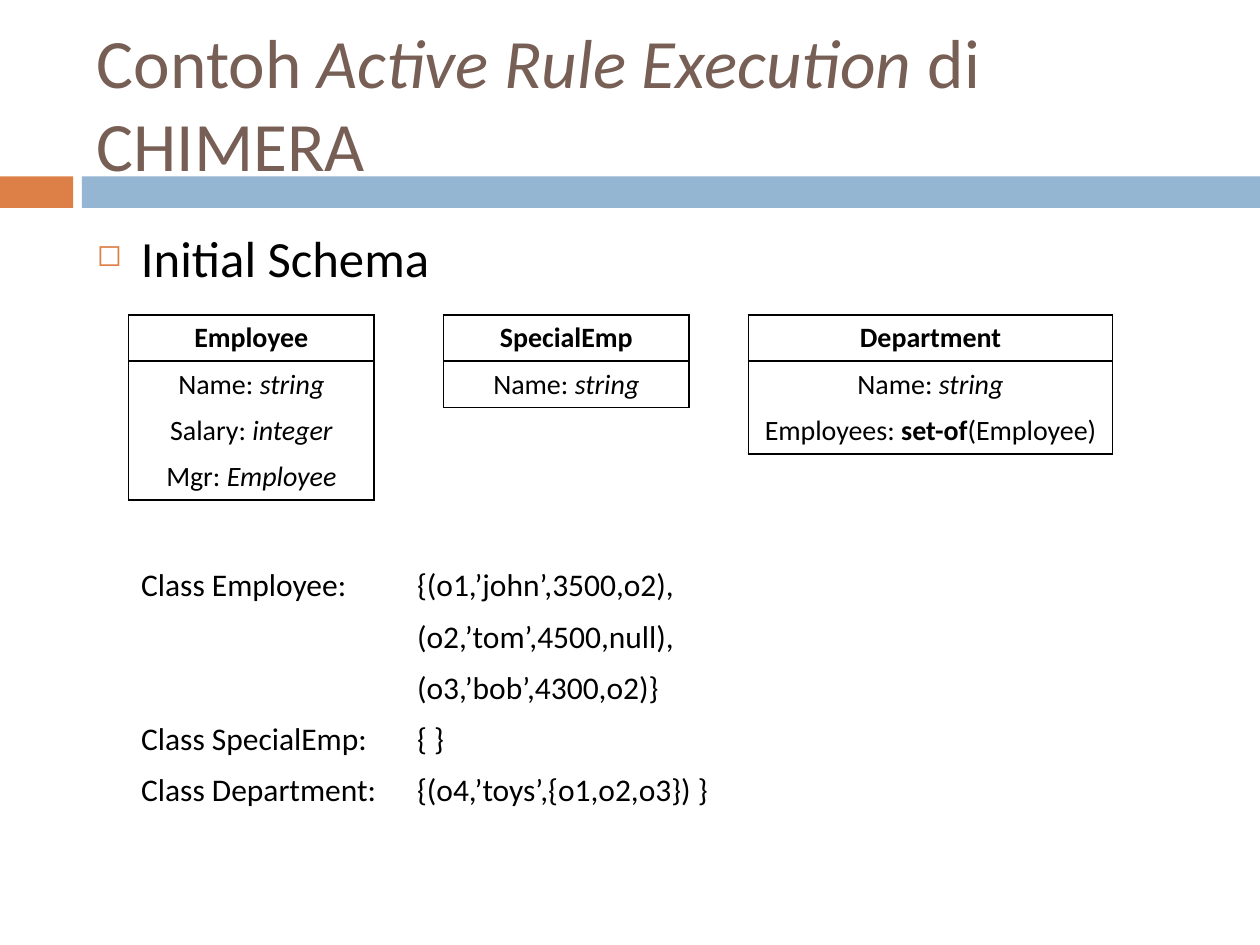
from lxml.etree import SubElement
from pptx import Presentation
from pptx.dml.color import RGBColor
from pptx.enum.shapes import MSO_SHAPE as Shape
from pptx.enum.text import MSO_ANCHOR as Anchor, PP_ALIGN as Align
from pptx.oxml import parse_xml
from pptx.oxml.ns import nsdecls, qn
from pptx.util import Inches, Pt

ORANGE, BLUE, BROWN, BLACK = "DD8047", "94B6D2", "775F55", "000000"


def color(hex_string):
    return RGBColor.from_string(hex_string)


class SlideBuilder:
    """Holds the style and the slide; positions are percentages of its size."""

    font = "Calibri"

    def __init__(self, deck):
        self.width, self.height = deck.slide_width, deck.slide_height
        self.shapes = deck.slides.add_slide(deck.slide_layouts[6]).shapes

    def area(self, left, top, width, height):
        return (int(self.width * left / 100), int(self.height * top / 100),
                int(self.width * width / 100), int(self.height * height / 100))

    def bar(self, area, fill):
        box = self.shapes.add_shape(Shape.RECTANGLE, *self.area(*area))
        box.shadow.inherit = False
        box.fill.solid()
        box.fill.fore_color.rgb = color(fill)
        box.line.fill.background()

    def add_runs(self, para, runs, size, ink=BLACK):
        """Add (text, style) runs, where style is "", "b" or "i"."""
        for text, style in runs:
            span = para.add_run()
            span.text = text
            span.font.name, span.font.size = self.font, Pt(size)
            span.font.bold, span.font.italic = style == "b", style == "i"
            span.font.color.rgb = color(ink)

    def text(self, area, runs, size, ink=BLACK, anchor=Anchor.TOP):
        frame = self.shapes.add_textbox(*self.area(*area)).text_frame
        frame.word_wrap = True
        frame.vertical_anchor = anchor
        para = frame.paragraphs[0]
        self.add_runs(para, runs, size, ink)
        return frame, para

    def bullet(self, para, symbol, ink, indent, percent):
        properties = para._p.get_or_add_pPr()
        properties.set("marL", str(indent))
        properties.set("indent", str(-indent))
        bullet_color = SubElement(properties, qn("a:buClr"))
        SubElement(bullet_color, qn("a:srgbClr"), val=ink)
        SubElement(properties, qn("a:buSzPct"), val=str(percent * 1000))
        SubElement(properties, qn("a:buChar"), char=symbol)

    def borders(self, cell, sides):
        """Draw the sides named in a string such as "LRTB"; clear the rest."""
        properties = cell._tc.get_or_add_tcPr()
        for index, side in enumerate("LRTB"):
            fill = (f'<a:solidFill><a:srgbClr val="{BLACK}"/></a:solidFill>'
                    if side in sides else "<a:noFill/>")
            properties.insert(index, parse_xml(
                f'<a:ln{side} {nsdecls("a")} w="{Pt(1)}">{fill}</a:ln{side}>'))

    def table(self, left, top, columns, row_height, rows, size,
              align=Align.LEFT, sides=lambda row: ""):
        """Each cell is a list of runs; sides(row) names the drawn borders."""
        area = self.area(left, top, sum(columns), row_height * len(rows))
        table = self.shapes.add_table(len(rows), len(columns), *area).table
        table.first_row = table.horz_banding = False
        for column, share in zip(table.columns, columns):
            column.width = int(self.width * share / 100)
        for row, cells in enumerate(rows):
            for column, runs in enumerate(cells):
                cell = table.cell(row, column)
                cell.fill.background()
                self.borders(cell, sides(row))
                para = cell.text_frame.paragraphs[0]
                para.alignment = align
                self.add_runs(para, runs, size)

    def schema(self, left, width, name, attributes):
        """A class box: a ruled header above attributes in one frame."""
        rows = [[[(name, "b")]]] + [[runs] for runs in attributes]

        def sides(row):
            if row == 0:
                return "LRTB"
            return "LR" + "T" * (row == 1) + "B" * (row == len(rows) - 1)

        self.table(left, 33.33, [width], 4.9, rows, 16, Align.CENTER, sides)


def typed(label, kind):
    return [(label + ": ", ""), (kind, "i")]


def main():
    deck = Presentation()
    deck.slide_width, deck.slide_height = Inches(10), Inches(7.5)
    slide = SlideBuilder(deck)

    slide.bar((0, 18.67, 5.8, 3.33), ORANGE)
    slide.bar((6.5, 18.67, 93.5, 3.33), BLUE)

    title, _ = slide.text(
        (6.7, 3.33, 89.2, 14.4),
        [("Contoh ", ""), ("Active Rule Execution ", "i"), ("di CHIMERA", "")],
        39.6, BROWN, Anchor.MIDDLE)
    title.margin_bottom = 0

    _, heading = slide.text((6.7, 23.33, 89.2, 65.6), [("Initial Schema", "")], 29)
    heading.space_before = Pt(7)
    slide.bullet(heading, "◻", ORANGE, Inches(0.35), 60)

    name = typed("Name", "string")
    slide.schema(10.2, 19.5, "Employee", [
        name, typed("Salary", "integer"), typed("Mgr", "Employee")])
    slide.schema(35.2, 19.5, "SpecialEmp", [name])
    slide.schema(59.4, 28.9, "Department", [
        name, [("Employees: ", ""), ("set-of", "b"), ("(Employee)", "")]])

    instances = [
        ("Class Employee:", "{(o1,’john’,3500,o2),"),
        ("", "(o2,’tom’,4500,null),"),
        ("", "(o3,’bob’,4300,o2)}"),
        ("Class SpecialEmp:", "{ }"),
        ("Class Department:", "{(o4,’toys’,{o1,o2,o3}) }"),
    ]
    rows = [[[(text, "")] if text else [] for text in pair] for pair in instances]
    slide.table(10.2, 59.33, [21.9, 44.8], 5.41, rows, 18)

    deck.save("out.pptx")


if __name__ == "__main__":
    main()
